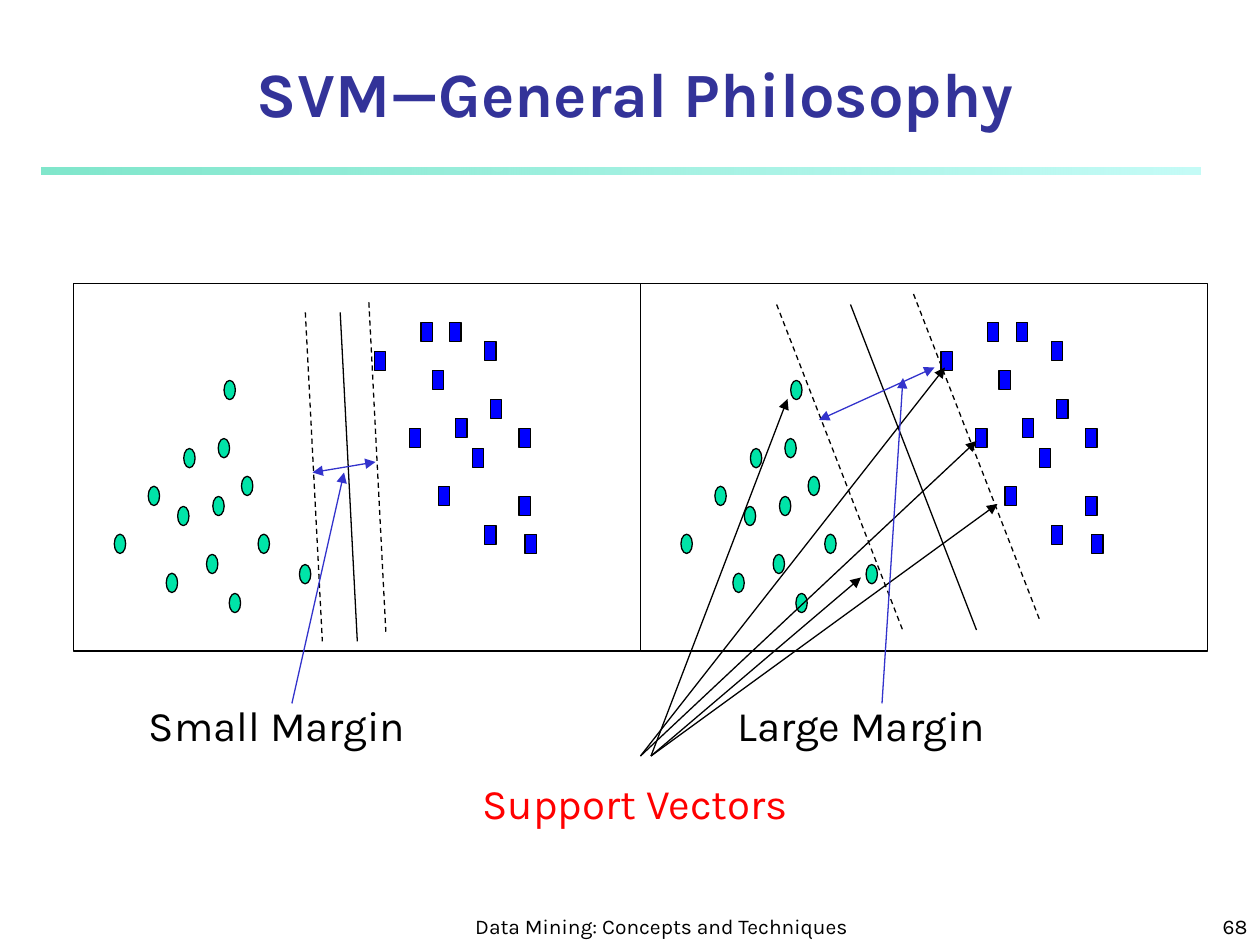
from lxml.etree import SubElement as Sub
from pptx import Presentation
from pptx.dml.color import RGBColor
from pptx.enum.dml import MSO_LINE
from pptx.enum.shapes import MSO_CONNECTOR as Link, MSO_SHAPE as Shape
from pptx.enum.text import MSO_ANCHOR as Anchor, MSO_AUTO_SIZE as Fit, PP_ALIGN as Align
from pptx.oxml.ns import qn
from pptx.util import Pt

BLACK, BLUE, GREEN, RED = "000000", "0000FF", "00E4A8", "FF0000"
NAVY, ARROW = "333399", "3333CC"
STEP = 323.8  # from the left panel to the right one

DOTS = [(95, 327.6), (101.5, 289.4), (65.3, 305.3), (84.7, 277.9), (118, 316.8),
        (105, 256.3), (121.6, 283.7), (124.7, 250.6), (138, 272.2), (147.5, 305.3),
        (131, 339.1), (171.1, 322.6), (128, 217.4)]
BOXES = [(233.8, 244.8), (213.9, 200.9), (240.5, 184.3), (250.4, 277.9), (247.1, 211.7),
         (260.4, 239), (257, 184.3), (277, 195.1), (270, 256.3), (280.1, 228.2),
         (277, 300.2), (296.6, 244.8), (296.6, 283.7), (300, 305.3)]


def color(code):
    return RGBColor.from_string(code)


class Deck:
    font = "Karla"
    width = 0.75
    mark = (6.5, 11)

    def __init__(self):
        self.prs = Presentation()
        self.prs.slide_width, self.prs.slide_height = Pt(720), Pt(540)
        self.slide = self.prs.slides.add_slide(self.prs.slide_layouts[5])
        self.area = self.slide.shapes

    def group(self):
        """Send the elements that follow into a new group."""
        self.area = self.slide.shapes.add_group_shape().shapes

    def label(self, shape, text, size, ink, align=Align.LEFT, wrap=True, bold=False):
        """Fill a shape with one styled paragraph."""
        frame = shape.text_frame
        frame.text = text
        frame.word_wrap = wrap
        frame.auto_size = Fit.NONE if wrap else Fit.SHAPE_TO_FIT_TEXT
        frame.vertical_anchor = Anchor.BOTTOM if wrap else Anchor.TOP
        para = frame.paragraphs[0]
        para.alignment = align
        font = para.runs[0].font
        font.name, font.size, font.bold = self.font, Pt(size), bold
        font.color.rgb = color(ink)

    def title(self, text, x, y, w, h):
        shape = self.slide.shapes.title
        shape.left, shape.top, shape.width, shape.height = map(Pt, (x, y, w, h))
        self.label(shape, text, 36, NAVY, Align.CENTER, bold=True)

    def text(self, text, x, y, w, h, size, ink=BLACK, **style):
        shape = self.area.add_textbox(*map(Pt, (x, y, w, h)))
        self.label(shape, text, size, ink, **style)

    def shape(self, kind, x, y, w, h, fill=None):
        shape = self.area.add_shape(kind, *map(Pt, (x, y, w, h)))
        shape.shadow.inherit = False
        if fill:
            shape.fill.solid()
            shape.fill.fore_color.rgb = color(fill)
        else:
            shape.fill.background()
        shape.line.color.rgb = color(BLACK)
        shape.line.width = Pt(self.width)
        return shape

    def rule(self, x, y, w, h, stops):
        """Draw a borderless bar that fades through (colour, opacity) stops."""
        bar = self.shape(Shape.RECTANGLE, x, y, w, h)
        bar.line.fill.background()
        bar.fill.gradient()
        bar.fill.gradient_angle = 0
        for stop, (code, _) in zip(bar.fill.gradient_stops, stops):
            stop.color.rgb = color(code)
        tints = bar._element.spPr.iter(qn("a:srgbClr"))
        for tint, (_, alpha) in zip(tints, stops):
            Sub(tint, qn("a:alpha"), val=str(alpha * 1000))

    def line(self, start, end, ink=BLACK, dash=False, tips=()):
        """Draw a line; tips may hold "a:headEnd" (start) and "a:tailEnd" (end)."""
        link = self.area.add_connector(Link.STRAIGHT, *map(Pt, start + end))
        link.line.color.rgb = color(ink)
        link.line.width = Pt(self.width)
        if dash:
            link.line.dash_style = MSO_LINE.DASH
        props = link._element.spPr
        for tip in tips:
            Sub(props.find(qn("a:ln")), qn(tip), type="triangle")
        Sub(props, qn("a:effectLst"))

    def panel(self, shift, edges, middle):
        """Draw the two classes, the frame, both margin edges and the middle line."""
        self.group()
        for kind, spots, fill in ((Shape.OVAL, DOTS, GREEN), (Shape.RECTANGLE, BOXES, BLUE)):
            for x, y in spots:
                self.shape(kind, x + shift, y, *self.mark, fill)
        self.shape(Shape.RECTANGLE, 42.2 + shift, 162, 324, 210)
        for edge in edges:
            self.line(*edge, dash=True)
        self.line(*middle)

    def margin(self, name, x, w, span, start, end):
        """Name a margin, mark its span and point at it."""
        self.group()
        self.text(name, x, 396, w, 36, 24, wrap=False)
        self.line(*span, ink=ARROW, tips=("a:headEnd", "a:tailEnd"))
        self.line(start, end, ink=ARROW, tips=("a:tailEnd",))


def main():
    deck = Deck()
    deck.rule(23.5, 95.7, 662.5, 4, [("00CE98", 50), ("8FF9EF", 52)])
    deck.text("Data Mining: Concepts and Techniques", 264, 510, 228, 30, 12, align=Align.CENTER)
    deck.text("68", 570, 510, 150, 30, 12, align=Align.RIGHT)
    deck.title("SVM—General Philosophy", 24, 30, 678, 48)

    deck.panel(0, [((210.8, 172.8), (220.5, 361)), ((174.5, 178.5), (184.2, 366.5))],
               ((194.4, 178.5), (204.2, 366.5)))
    deck.panel(STEP, [((443.8, 174), (515.8, 360)), ((522, 168), (594, 354))],
               ((486, 174), (558, 360)))

    deck.group()
    deck.text("Support Vectors", 268.7, 440.6, 195, 36, 24, RED, wrap=False)
    for x, end in ((366, (540, 210)), (366, (558, 252)), (372, (570, 288)),
                   (372, (492, 330)), (372, (450, 228))):
        deck.line((x, 432), end, tips=("a:tailEnd",))

    deck.margin("Small Margin", 78, 163, ((178.6, 270), (214.6, 264)),
                (166.8, 402), (196.6, 270))
    deck.margin("Large Margin", 414.6, 165.5, ((468, 240), (534, 210)),
                (504, 402), (516, 216))
    deck.prs.save("out.pptx")


if __name__ == "__main__":
    main()
